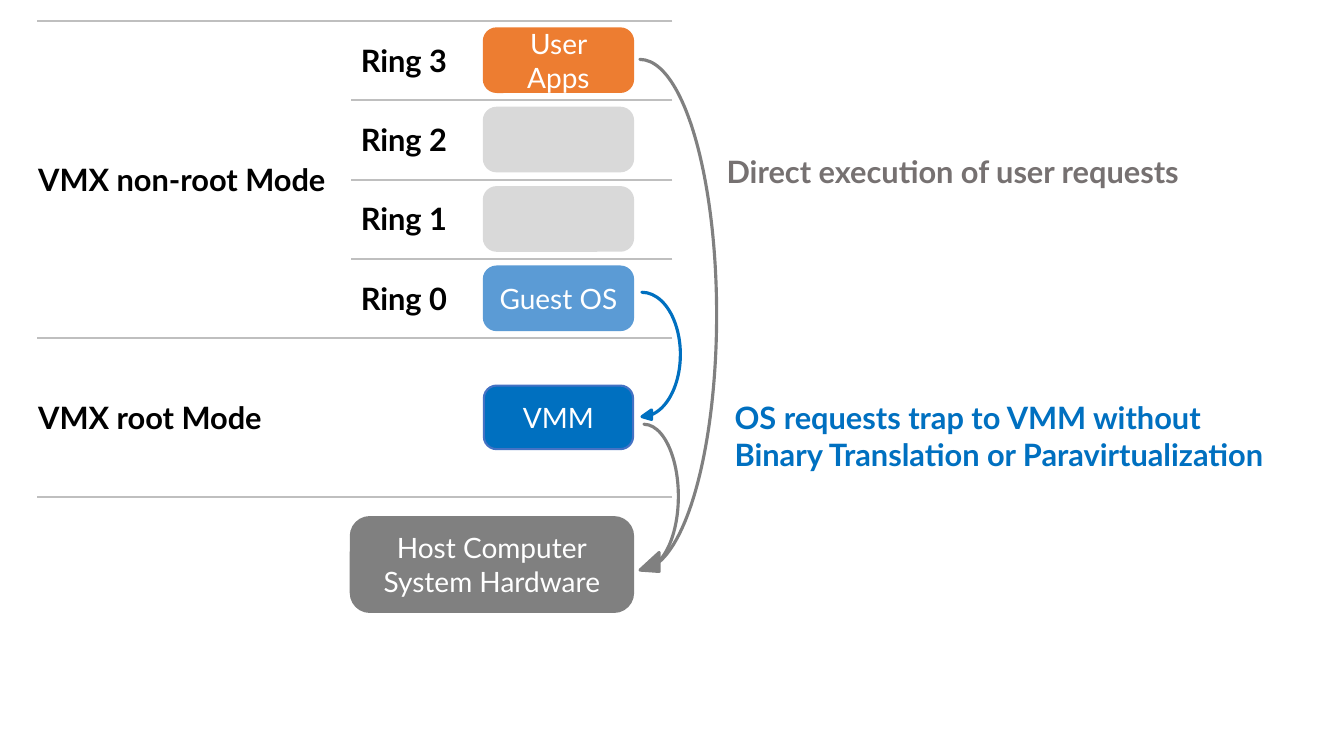
from lxml.etree import SubElement
from pptx import Presentation
from pptx.dml.color import RGBColor
from pptx.enum.shapes import MSO_CONNECTOR, MSO_SHAPE
from pptx.enum.text import MSO_ANCHOR, MSO_AUTO_SIZE, PP_ALIGN
from pptx.oxml.ns import qn
from pptx.util import Pt

THEME = {
    "font": "Lato",
    "box_size": 20,
    "label_size": 22,
    "black": RGBColor.from_string("000000"),
    "white": RGBColor.from_string("FFFFFF"),
    "rule": RGBColor.from_string("BFBFBF"),
    "empty": RGBColor.from_string("D9D9D9"),
    "gray": RGBColor.from_string("808080"),
    "note": RGBColor.from_string("767171"),
    "orange": RGBColor.from_string("ED7D31"),
    "guest": RGBColor.from_string("5B9BD5"),
    "blue": RGBColor.from_string("0070C0"),
    "outline": RGBColor.from_string("4472C4"),
}

prs = Presentation()
prs.slide_width, prs.slide_height = Pt(960), Pt(540)
s = prs.slides.add_slide(prs.slide_layouts[6])


def add_filled(kind, box, adjustments, fill, line, line_width, text=""):
    sp = s.shapes.add_shape(kind, *map(Pt, box))
    sp.shadow.inherit = False
    for i, value in enumerate(adjustments):
        sp.adjustments[i] = value
    sp.fill.solid()
    sp.fill.fore_color.rgb = THEME[fill]
    sp.line.color.rgb = THEME[line]
    sp.line.width = Pt(line_width)
    if text:
        tf = sp.text_frame
        tf.text = text
        tf.vertical_anchor = MSO_ANCHOR.MIDDLE
        for p in tf.paragraphs:
            p.alignment = PP_ALIGN.CENTER
            p.font.name = THEME["font"]
            p.font.size = Pt(THEME["box_size"])
            p.font.color.rgb = THEME["white"]


def add_label(text, left, top, width, height=33.9, color="black"):
    tf = s.shapes.add_textbox(Pt(left), Pt(top), Pt(width), Pt(height)).text_frame
    tf.word_wrap = True
    tf.auto_size = MSO_AUTO_SIZE.SHAPE_TO_FIT_TEXT
    tf.text = text
    p = tf.paragraphs[0]
    p.font.name = THEME["font"]
    p.font.size = Pt(THEME["label_size"])
    p.font.bold = True
    p.font.color.rgb = THEME[color]


TOP, ROW = 14.9, 56.7
MODE_LEFT, RING_LEFT, RULE_RIGHT = 26.6, 250.6, 480.2
BOX_LEFT, BOX_WIDTH, BOX_HEIGHT = 345.6, 106.6, 45.4

for row, left in [(0, MODE_LEFT), (1, RING_LEFT), (2, RING_LEFT),
                  (3, RING_LEFT), (4, MODE_LEFT), (6, MODE_LEFT)]:
    y = Pt(TOP + row * ROW)
    rule = s.shapes.add_connector(MSO_CONNECTOR.STRAIGHT, Pt(RULE_RIGHT), y, Pt(left), y)
    rule.line.color.rgb = THEME["rule"]
    rule.line.width = Pt(1.5)
    SubElement(rule._element.spPr, qn("a:effectLst"))

for row, text, fill, line in [
    (0, "User Apps", "orange", "orange"),
    (1, "", "empty", "empty"),
    (2, "", "empty", "empty"),
    (3, "Guest OS", "guest", "guest"),
    (4.5, "VMM", "blue", "outline"),
]:
    box = (BOX_LEFT, TOP + 5.4 + row * ROW, BOX_WIDTH, BOX_HEIGHT)
    add_filled(MSO_SHAPE.ROUNDED_RECTANGLE, box, [0.2], fill, line, 1.5, text)

add_filled(MSO_SHAPE.ROUNDED_RECTANGLE, (RING_LEFT, 369.4, 201.6, 67.7), [0.2],
           "gray", "gray", 1.5, "Host Computer\nSystem Hardware")

for row in range(4):
    add_label(f"Ring {3 - row}", RING_LEFT, TOP + 11.1 + row * ROW, 76)

add_label("VMX non-root Mode", 20.2, 111.6, 221)
add_label("VMX root Mode", 20.2, 281.5, 221)

for box, color in [
    ((457.2, 42.5, 54.7, 371.5), "gray"),
    ((458.6, 208.8, 27.4, 92.2), "blue"),
    ((460.1, 303.1, 24.5, 105.8), "gray"),
]:
    add_filled(MSO_SHAPE.CURVED_LEFT_ARROW, box, [0, 0.247, 0.25], color, color, 2.25)

add_label("Direct execution of user requests", 511.9, 105.8, 346.3, color="note")
add_label("OS requests trap to VMM without Binary Translation or Paravirtualization",
          517.7, 281.5, 401, 60.5, "blue")

prs.save("out.pptx")
